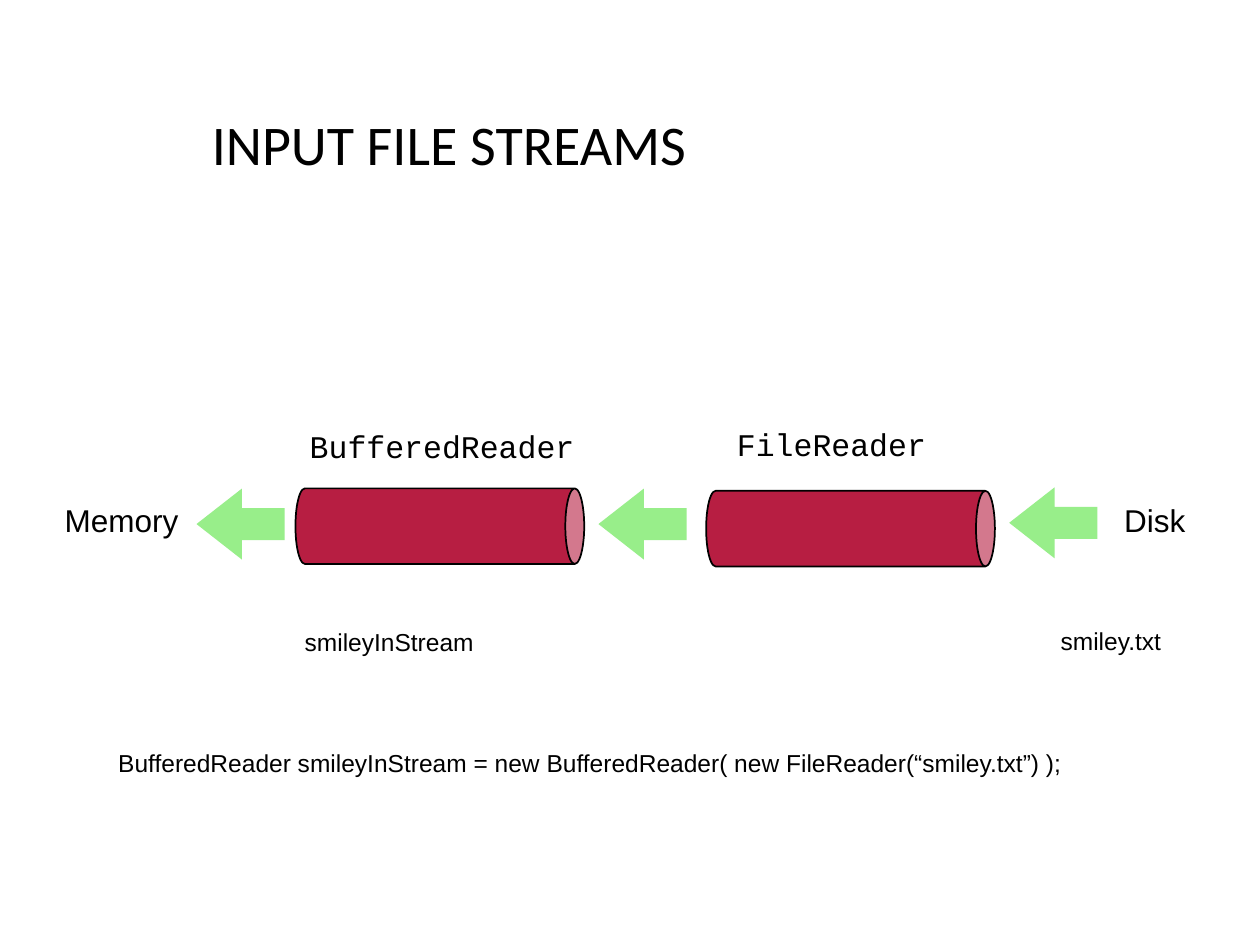
import pptx
import pptx.dml.color
import pptx.enum.shapes
import pptx.enum.text
import pptx.util

Pt = pptx.util.Pt
SHAPES = pptx.enum.shapes.MSO_SHAPE
ALIGN = pptx.enum.text.PP_ALIGN
ANCHOR = pptx.enum.text.MSO_ANCHOR

COLORS = {"text": "000000", "pipe": "B71E42", "arrow": "98EE8A"}


def color(name):
    return pptx.dml.color.RGBColor.from_string(COLORS[name])


def format_text(frame, words, font, size, spacing, align=ALIGN.LEFT):
    frame.text = words
    frame.auto_size = pptx.enum.text.MSO_AUTO_SIZE.NONE
    paragraph = frame.paragraphs[0]
    paragraph.alignment = align
    paragraph.line_spacing = spacing
    run_font = paragraph.runs[0].font
    run_font.name = font
    run_font.size = Pt(size)
    run_font.color.rgb = color("text")
    return paragraph


def set_title(slide, words):
    title = slide.shapes.title
    title.left, title.top = Pt(113.8), Pt(63.4)
    title.width, title.height = Pt(517.7), Pt(82.8)
    title.text_frame.vertical_anchor = ANCHOR.TOP
    format_text(title.text_frame, words, "Calibri", 32, 0.9)


def add_label(slide, words, left, top, width, height, font, size, before):
    label = slide.shapes.add_textbox(Pt(left), Pt(top), Pt(width), Pt(height))
    label.text_frame.word_wrap = True
    paragraph = format_text(label.text_frame, words, font, size, 0.8)
    paragraph.space_before = Pt(before)
    return label


def add_endpoint(slide, words, left):
    """Place a centred label at one end of the stream."""
    endpoint = add_label(slide, words, left, 283.7, 77, 31, "Arial", 18, 4.5)
    endpoint.text_frame.word_wrap = False
    endpoint.text_frame.vertical_anchor = ANCHOR.MIDDLE
    endpoint.text_frame.paragraphs[0].alignment = ALIGN.CENTER


def add_solid(slide, preset, left, top, width, height, fill):
    solid = slide.shapes.add_shape(preset, Pt(left), Pt(top), Pt(width), Pt(height))
    solid.shadow.inherit = False
    solid.fill.solid()
    solid.fill.fore_color.rgb = color(fill)
    return solid


def add_pipe(slide, left, top):
    """Lay a can on its side, so its lid faces right."""
    pipe = add_solid(slide, SHAPES.CAN, left, top, 43.2, 165, "pipe")
    pipe.rotation = 90
    pipe.adjustments[0] = 0.25
    pipe.line.color.rgb = color("text")
    pipe.line.width = Pt(1)


def add_flow_arrow(slide, left, top):
    arrow = add_solid(slide, SHAPES.LEFT_ARROW, left, top, 50.4, 40.5, "arrow")
    arrow.adjustments[0] = 0.45
    arrow.adjustments[1] = 0.64
    arrow.line.fill.background()


def main():
    deck = pptx.Presentation()
    deck.slide_width, deck.slide_height = Pt(720), Pt(540)
    slide = deck.slides.add_slide(deck.slide_layouts[5])
    set_title(slide, "INPUT FILE STREAMS")

    # Stream from disk to memory
    for left, top in ((229.7, 218.2), (464.4, 219.6)):
        add_pipe(slide, left, top)
    for left, top in ((112.3, 279.2), (342, 279.2), (576.7, 278.5)):
        add_flow_arrow(slide, left, top)

    # Reader classes above the pipes
    for reader, left, top, width in (
        ("BufferedReader", 169.9, 244.8, 178.6),
        ("FileReader", 414, 243.4, 206),
    ):
        add_label(slide, reader, left, top, width, 24.5, "Courier New", 18, 11.2)

    # Ends of the stream
    add_endpoint(slide, "Disk", 621.4)
    add_endpoint(slide, "Memory", 31)

    # Variable, file and code line
    for words, left, top, width in (
        ("smileyInStream", 167, 358.2, 165),
        ("smiley.txt", 599, 357.5, 126.7),
        ("BufferedReader smileyInStream = new BufferedReader( "
         "new FileReader(“smiley.txt”) );", 60.5, 427, 609),
    ):
        add_label(slide, words, left, top, width, 20.2, "Arial", 14, 3.5)

    deck.save("out.pptx")


if __name__ == "__main__":
    main()
